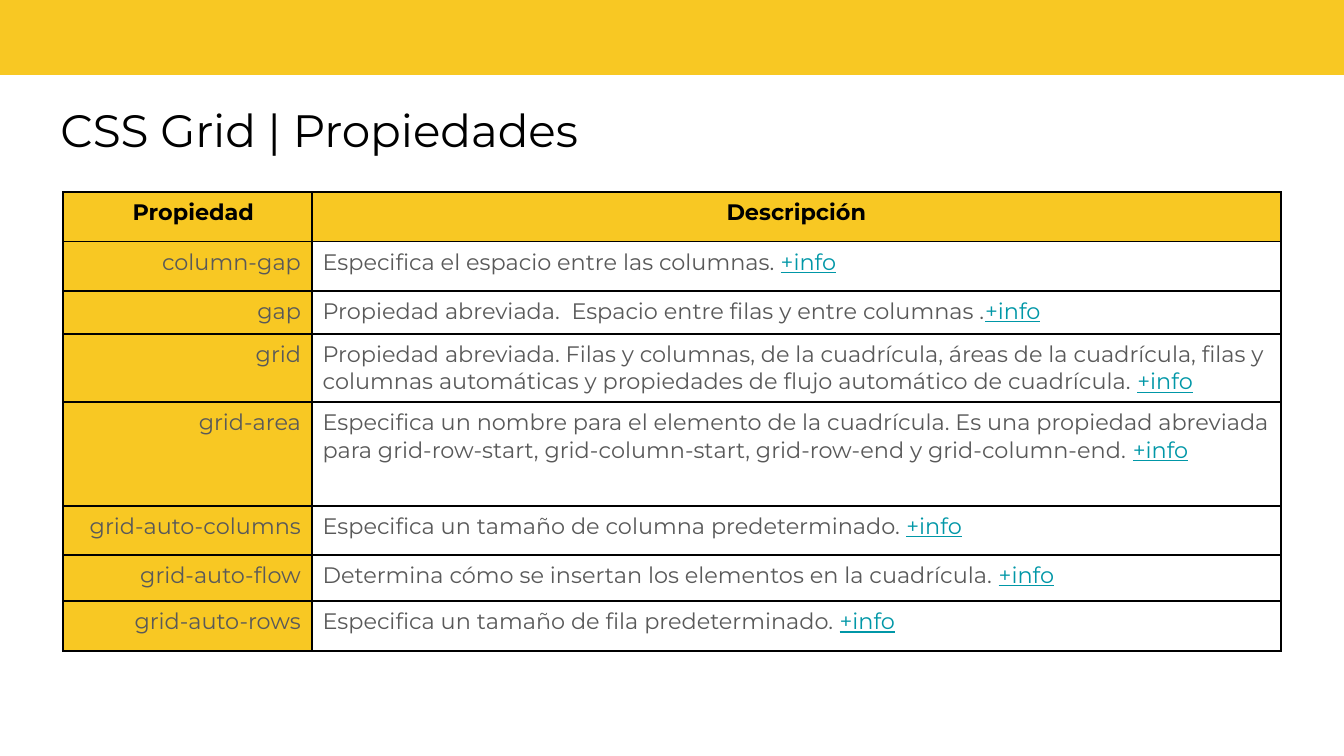
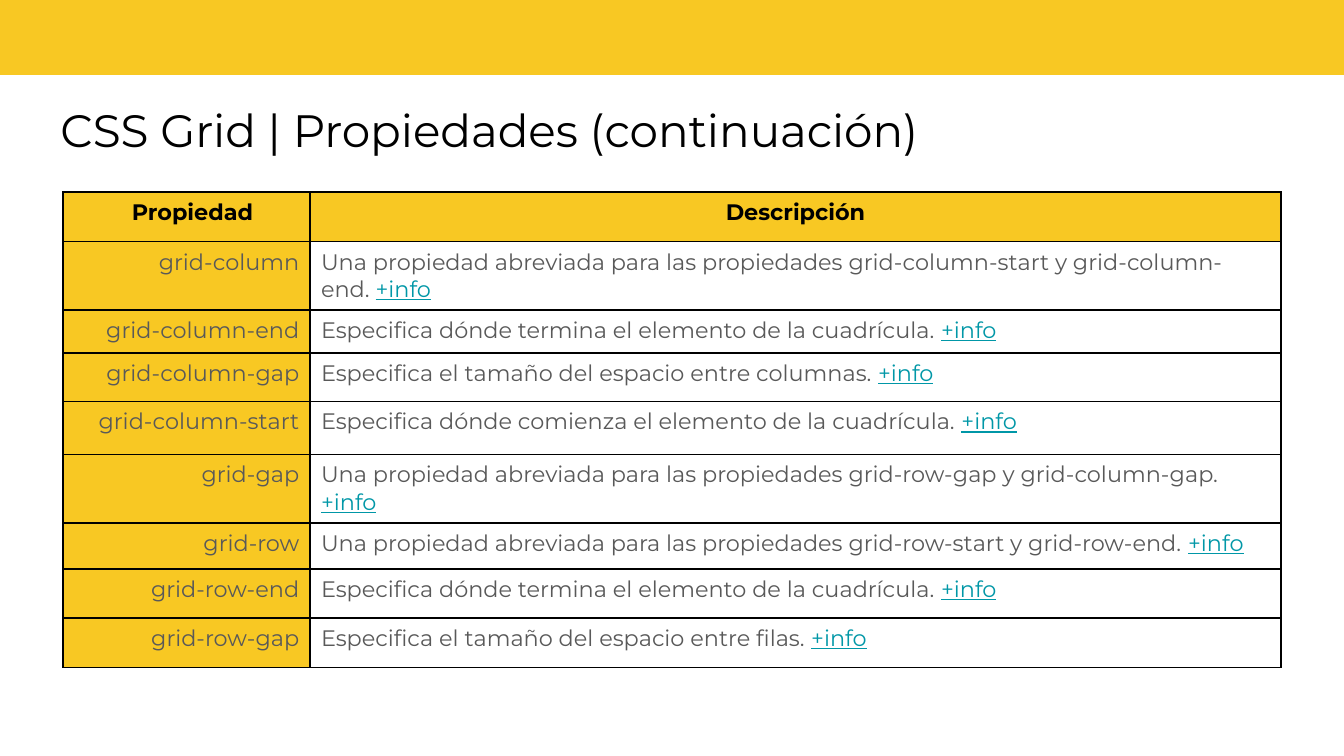
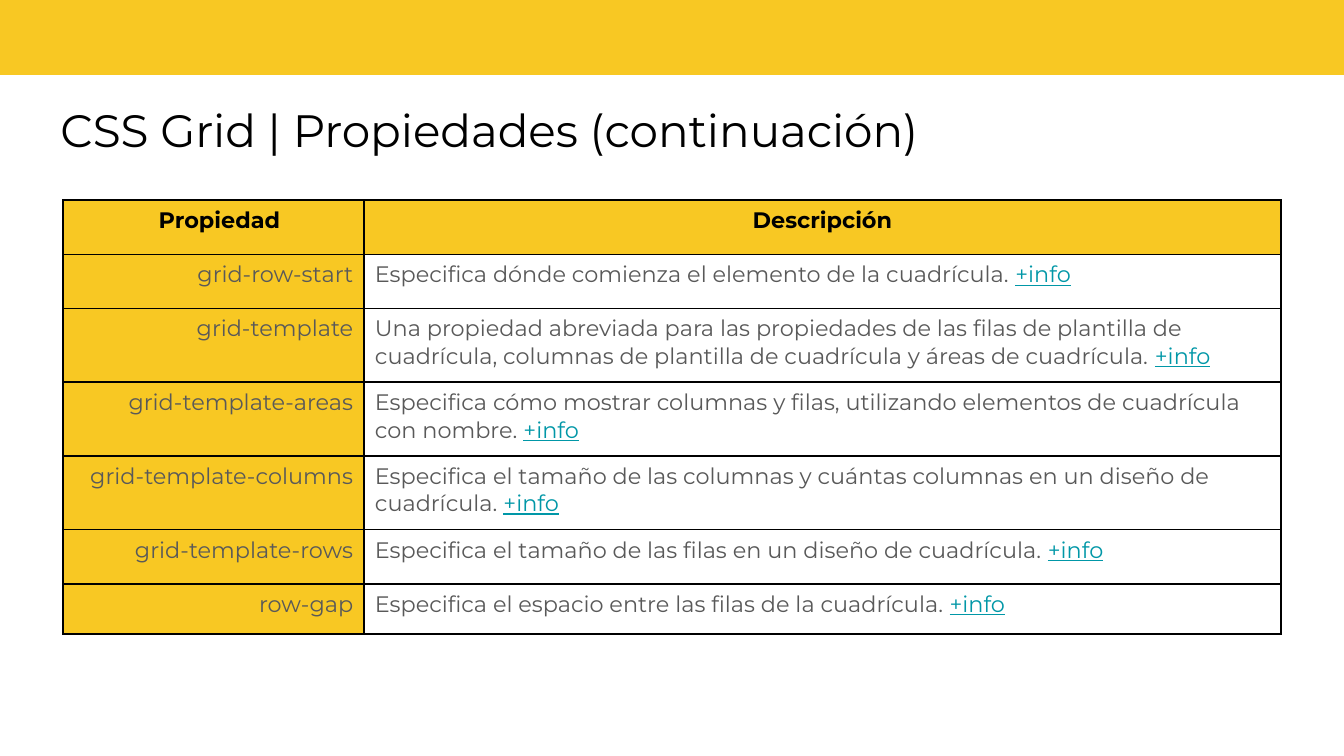
"""Build three slides listing the CSS Grid properties in tables."""
from lxml import etree
from pptx import Presentation
from pptx.dml.color import RGBColor
from pptx.enum import shapes, text
from pptx.oxml.ns import qn
from pptx.util import Pt

YELLOW = RGBColor(0xF8, 0xC8, 0x23)
BLACK = RGBColor(0, 0, 0)
GRAY = RGBColor(0x59, 0x59, 0x59)
TEAL = RGBColor(0x00, 0x97, 0xA7)

TITLE = {"size": Pt(24.3), "bold": False}
HEAD = {"size": Pt(12), "bold": True}
BODY = {"size": Pt(12), "bold": False}
LINK = {"size": Pt(12), "bold": False, "underline": True}

TABLE_LEFT, TABLE_WIDTH = 33.9, 652.3

SLIDES = [
    {
        "title": "CSS Grid | Propiedades",
        "top": 103,
        "name_width": 133.2,
        "heights": [26.5, 26.5, 23, 36.2, 55.5, 26.5, 24.7, 26.5],
        "rows": [
            ("column-gap", "Especifica el espacio entre las columnas. "),
            ("gap", "Propiedad abreviada.  Espacio entre filas y entre columnas ."),
            ("grid", "Propiedad abreviada. Filas y columnas, de la cuadrícula, áreas de la "
             "cuadrícula, filas y columnas automáticas y propiedades de flujo automático "
             "de cuadrícula. "),
            ("grid-area", "Especifica un nombre para el elemento de la cuadrícula. Es una "
             "propiedad abreviada para grid-row-start, grid-column-start, grid-row-end y "
             "grid-column-end. "),
            ("grid-auto-columns", "Especifica un tamaño de columna predeterminado. "),
            ("grid-auto-flow", "Determina cómo se insertan los elementos en la cuadrícula. "),
            ("grid-auto-rows", "Especifica un tamaño de fila predeterminado. "),
        ],
    },
    {
        "title": "CSS Grid | Propiedades (continuación)",
        "top": 103,
        "name_width": 132.3,
        "heights": [26.5, 26.5, 23, 26, 28.5, 26.5, 24.7, 26.5, 26.5],
        "rows": [
            ("grid-column", "Una propiedad abreviada para las propiedades grid-column-start "
             "y grid-column-end. "),
            ("grid-column-end", "Especifica dónde termina el elemento de la cuadrícula. "),
            ("grid-column-gap", "Especifica el tamaño del espacio entre columnas. "),
            ("grid-column-start", "Especifica dónde comienza el elemento de la cuadrícula. "),
            ("grid-gap", "Una propiedad abreviada para las propiedades grid-row-gap y "
             "grid-column-gap. "),
            ("grid-row", "Una propiedad abreviada para las propiedades grid-row-start y "
             "grid-row-end. "),
            ("grid-row-end", "Especifica dónde termina el elemento de la cuadrícula. "),
            ("grid-row-gap", "Especifica el tamaño del espacio entre filas. "),
        ],
    },
    {
        "title": "CSS Grid | Propiedades (continuación)",
        "top": 107.3,
        "name_width": 161.2,
        "heights": [29, 29, 39.5, 39.5, 39.5, 29, 27],
        "rows": [
            ("grid-row-start", "Especifica dónde comienza el elemento de la cuadrícula. "),
            ("grid-template", "Una propiedad abreviada para las propiedades de las filas de "
             "plantilla de cuadrícula, columnas de plantilla de cuadrícula y áreas de "
             "cuadrícula. "),
            ("grid-template-areas", "Especifica cómo mostrar columnas y filas, utilizando "
             "elementos de cuadrícula con nombre. "),
            ("grid-template-columns", "Especifica el tamaño de las columnas y cuántas "
             "columnas en un diseño de cuadrícula. "),
            ("grid-template-rows", "Especifica el tamaño de las filas en un diseño de "
             "cuadrícula. "),
            ("row-gap", "Especifica el espacio entre las filas de la cuadrícula. "),
        ],
    },
]


def write(p, align, *runs):
    p.alignment = align
    for content, style, color in runs:
        r = p.add_run()
        r.text = content
        r.font.name = "Montserrat"
        r.font.color.rgb = color
        for name, value in style.items():
            setattr(r.font, name, value)


def add_borders(cell):
    tcPr = cell._tc.get_or_add_tcPr()
    for i, side in enumerate(("lnL", "lnR", "lnT", "lnB")):
        ln = etree.Element(qn("a:" + side), w=str(Pt(0.96)))
        fill = etree.SubElement(ln, qn("a:solidFill"))
        etree.SubElement(fill, qn("a:srgbClr"), val=str(BLACK))
        tcPr.insert(i, ln)


prs = Presentation()
prs.slide_width, prs.slide_height = Pt(720), Pt(405)
layout = prs.slide_layouts.get_by_name("Title Only")

sp = layout.placeholders[0]
for name, value in {"left": 25.2, "top": 46.8, "width": 669.6, "height": 45.4}.items():
    setattr(sp, name, Pt(value))
tf = sp.text_frame
tf.vertical_anchor = text.MSO_ANCHOR.MIDDLE
tf.auto_size = text.MSO_AUTO_SIZE.NONE
for side in ("left", "right", "top", "bottom"):
    setattr(tf, "margin_" + side, Pt(7.2))

for n, data in enumerate(SLIDES):
    s = prs.slides.add_slide(layout)
    if n == 0:
        band = s.shapes.add_shape(shapes.MSO_SHAPE.RECTANGLE,
                                  Pt(-0.7), Pt(-3.6), Pt(722), Pt(43.8))
        band.shadow.inherit = False
        band.fill.solid()
        band.fill.fore_color.rgb = YELLOW
        band.line.fill.background()
        layout.shapes.element.insert(2, band.element)

    write(s.shapes.title.text_frame.paragraphs[0], text.PP_ALIGN.LEFT,
          (data["title"], TITLE, BLACK))

    heights = data["heights"]
    frame = s.shapes.add_table(len(heights), 2, Pt(TABLE_LEFT), Pt(data["top"]),
                               Pt(TABLE_WIDTH), Pt(sum(heights)))
    table = frame.table
    table.first_row = table.horz_banding = False
    table.columns[0].width = Pt(data["name_width"])
    table.columns[1].width = Pt(TABLE_WIDTH - data["name_width"])
    for row, height in zip(table.rows, heights):
        row.height = Pt(height)

    for i, words in enumerate([("Propiedad", "Descripción")] + data["rows"]):
        for j, word in enumerate(words):
            cell = table.cell(i, j)
            margins = {"left": 5.8 if j else 12, "right": 5.8, "top": 3.6, "bottom": 3.6}
            for side, value in margins.items():
                setattr(cell, "margin_" + side, Pt(value))
            if i and j:
                cell.fill.background()
            else:
                cell.fill.solid()
                cell.fill.fore_color.rgb = YELLOW
            add_borders(cell)
            p = cell.text_frame.paragraphs[0]
            if i == 0:
                write(p, text.PP_ALIGN.CENTER, (word, HEAD, BLACK))
            elif j == 0:
                write(p, text.PP_ALIGN.RIGHT, (word, BODY, GRAY))
            else:
                write(p, text.PP_ALIGN.LEFT, (word, BODY, GRAY), ("+info", LINK, TEAL))

prs.save("out.pptx")
